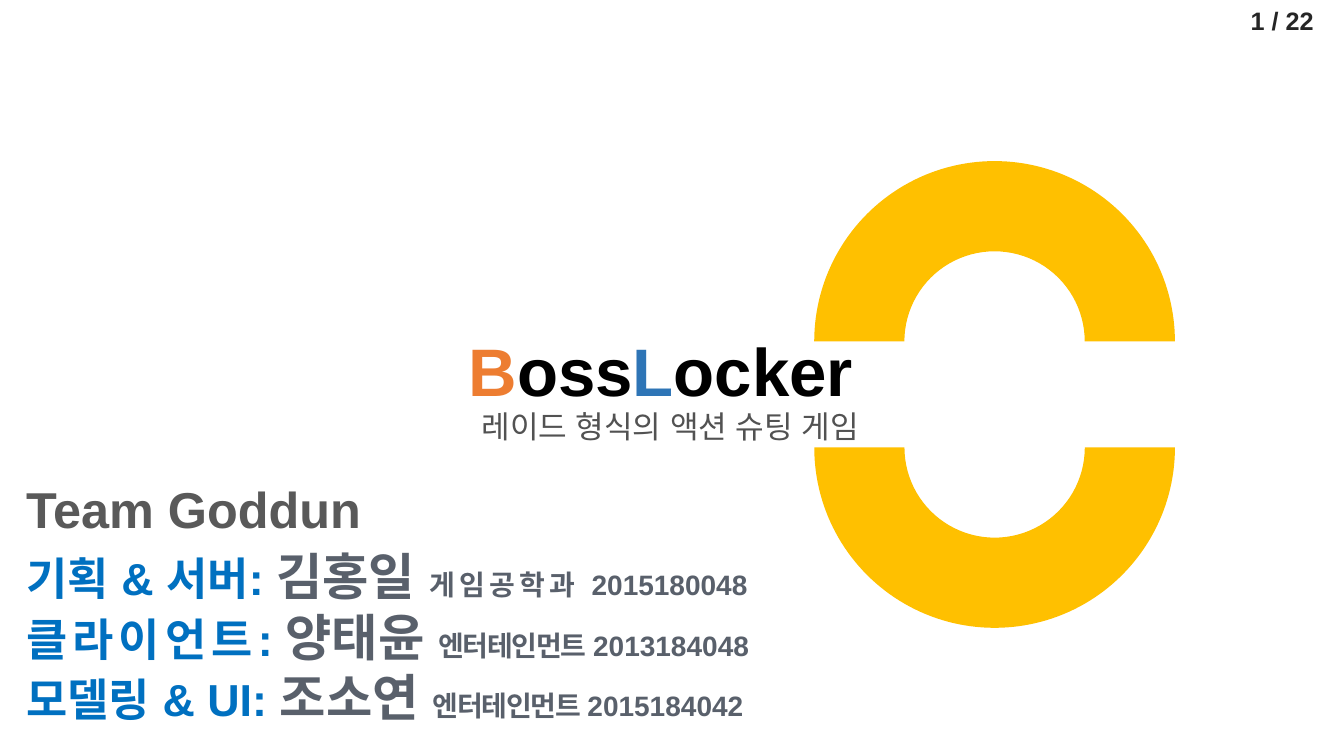
from pptx import Presentation
from pptx.dml.color import RGBColor
from pptx.enum.shapes import MSO_SHAPE as SHAPE
from pptx.enum.text import MSO_ANCHOR as ANCHOR, PP_ALIGN as ALIGN
from pptx.oxml.ns import qn
from pptx.util import Cm, Pt
from lxml.etree import SubElement

FONT = "Arial"
BLUE, SLATE, YELLOW = "0070C0", "59606B", "FFC000"


def color(value):
    """Turn a hex string into a colour."""
    return RGBColor.from_string(value)


def add_run(p, text, size, fill, bold=True, spacing=0):
    """Append a formatted run; spacing is the letter spacing in points."""
    r = p.add_run()
    r.text = text
    for name, value in {"name": FONT, "size": Pt(size), "bold": bold}.items():
        setattr(r.font, name, value)
    r.font.color.rgb = color(fill)
    rPr = r.font._element
    SubElement(rPr, qn("a:ea")).set("typeface", FONT)
    if spacing:
        rPr.set("spc", str(round(spacing * 100)))


def add_text(s, box, lines, anchor=ANCHOR.TOP, wrap=True, **paragraph_format):
    """Add a text box; each line is a list of run arguments."""
    tf = s.shapes.add_textbox(*map(Cm, box)).text_frame
    tf.word_wrap, tf.vertical_anchor = wrap, anchor
    for i, runs in enumerate(lines):
        p = tf.add_paragraph() if i else tf.paragraphs[0]
        for name, value in paragraph_format.items():
            setattr(p, name, value)
        for run in runs:
            add_run(p, *run)


def add_ring(s, left, top, size, gap):
    """Draw a ring as two half arcs, the lower one moved down by gap."""
    for offset, rotation in ((0, 0), (gap, 180)):
        arc = s.shapes.add_shape(SHAPE.BLOCK_ARC, Cm(left), Cm(top + offset),
                                 Cm(size), Cm(size))
        arc.rotation = rotation
        arc.shadow.inherit = False
        arc.fill.solid()
        arc.fill.fore_color.rgb = color(YELLOW)
        arc.line.fill.background()


def add_title(s, left, top):
    """Add the game title with coloured initials, and its subtitle."""
    title = [("B", 48, "ED7D31"), ("oss", 48, "000000"),
             ("L", 48, "2E75B6"), ("ocker", 48, "000000")]
    add_text(s, (left, top, 12.09, 3.38), [title], ANCHOR.BOTTOM,
             line_spacing=0.9)
    subtitle = [("레이드 형식의 액션 슈팅 게임", 22.2, "525252", False)]
    add_text(s, (left + 0.33, top + 3.15, 11.43, 1.65), [subtitle],
             line_spacing=0.9, space_before=Pt(10), alignment=ALIGN.JUSTIFY)


def member(role, name, department, number, spacing):
    """Return the runs of one team member's line."""
    return role + [(name + " ", 36, SLATE),
                   (department + " ", 20, SLATE, True, spacing),
                   (number, 20, SLATE)]


def add_team(s, left, top):
    """Add the team name and the list of its members."""
    add_text(s, (left, top + 2.29, 9.14, 1.8),
             [[("Team Goddun", 36, "595959")]], wrap=False)
    members = [
        member([("기획 & 서버: ", 32, BLUE)],
               "김홍일", "게임공학과", "2015180048", 3),
        member([("클라이언트", 32, BLUE, True, 3.6), (": ", 32, BLUE)],
               "양태윤", "엔터테인먼트", "2013184048", -1),
        member([("모델링 & UI: ", 32, BLUE)],
               "조소연", "엔터테인먼트", "2015184042", -1),
    ]
    add_text(s, (left, top, 28.19, 8.81), members, ANCHOR.BOTTOM)


def add_page_number(s, left, top):
    """Add the page counter in the corner."""
    add_text(s, (left, top, 2.59, 1.02), [[("1 / 22", 18, "262626")]],
             wrap=False)


def build_cover(prs):
    """Build the cover slide."""
    s = prs.slides.add_slide(prs.slide_layouts[6])
    add_title(s, 11.56, 7.11)
    add_ring(s, 20.52, 4.06, 9.09, 2.67)
    add_team(s, 0.41, 9.63)
    add_page_number(s, 31.27, 0)


prs = Presentation()
prs.slide_width, prs.slide_height = Cm(33.87), Cm(19.05)
build_cover(prs)
prs.save("out.pptx")
